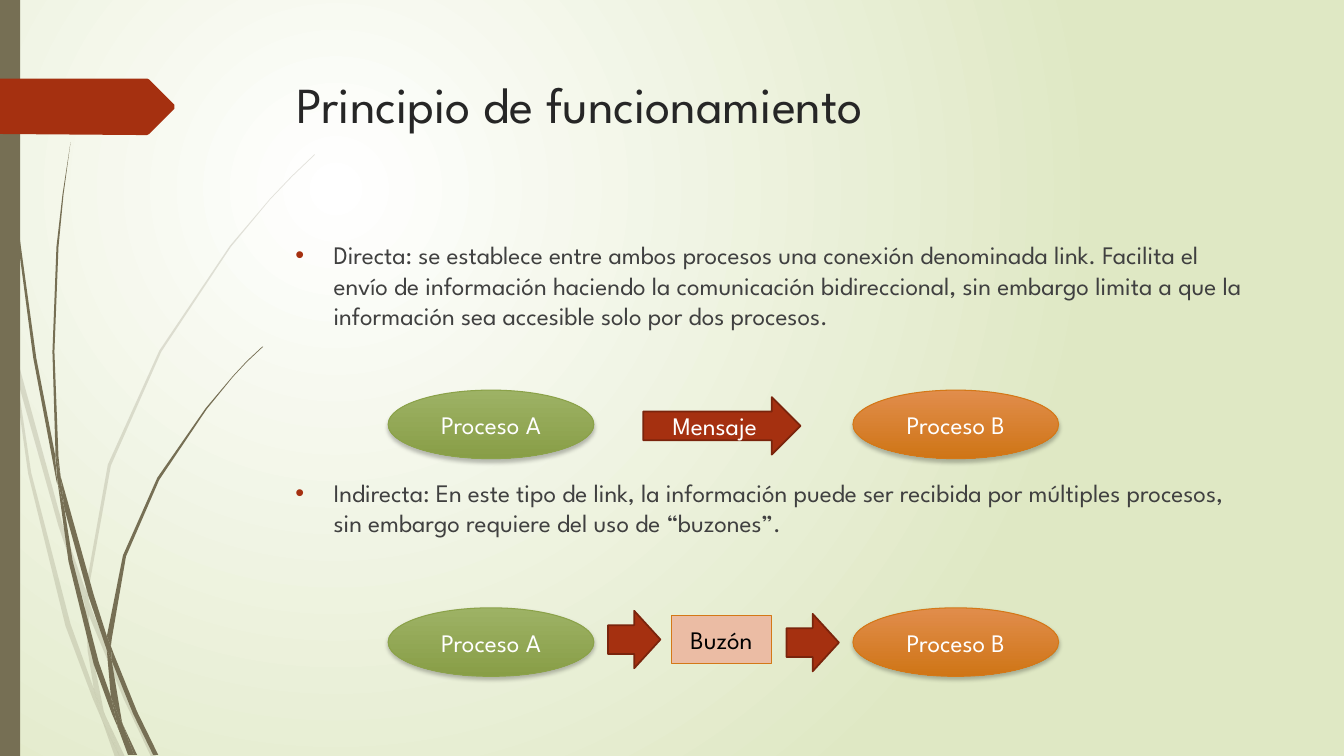
"""Build the slide that compares direct and indirect process communication."""
from dataclasses import dataclass

from lxml.etree import SubElement
from pptx import Presentation
from pptx.dml.color import RGBColor
from pptx.enum.shapes import MSO_SHAPE
from pptx.enum.text import MSO_ANCHOR, MSO_AUTO_SIZE, PP_ALIGN
from pptx.oxml.ns import qn
from pptx.util import Pt

PX = 9144
FONT = "League Spartan"

WHITE = RGBColor(0xFF, 0xFF, 0xFF)
BLACK = RGBColor(0x00, 0x00, 0x00)
PALE_GREEN = RGBColor(0xDF, 0xE8, 0xC4)
OLIVE = RGBColor(0x76, 0x6F, 0x54)
RED = RGBColor(0xA5, 0x30, 0x10)
DARK_RED = RGBColor(0x7A, 0x24, 0x0C)
GREEN_TOP = RGBColor(0x9D, 0xB2, 0x65)
GREEN_BOTTOM = RGBColor(0x88, 0x9E, 0x47)
GREEN_LINE = RGBColor(0x8B, 0xA2, 0x49)
ORANGE_TOP = RGBColor(0xE1, 0x8D, 0x4C)
ORANGE_BOTTOM = RGBColor(0xCF, 0x75, 0x16)
ORANGE_LINE = RGBColor(0xD4, 0x78, 0x17)
PEACH = RGBColor(0xEB, 0xBC, 0xA4)
TITLE_COLOR = RGBColor(0x26, 0x26, 0x26)
BODY_COLOR = RGBColor(0x40, 0x40, 0x40)


@dataclass(frozen=True)
class Style:
    """Look of a diagram node; two fills make a vertical gradient with a shadow."""
    preset: MSO_SHAPE
    fills: tuple[RGBColor, ...]
    line: RGBColor
    line_width: float
    text_color: RGBColor = WHITE


@dataclass(frozen=True)
class Node:
    """A diagram node with its box in px."""
    style: Style
    left: int
    top: int
    width: int
    height: int
    text: str = ""


@dataclass(frozen=True)
class Bullet:
    """A bulleted paragraph and the space above it in points."""
    text: str
    space_before: int


PROCESS_A = Style(MSO_SHAPE.OVAL, (GREEN_TOP, GREEN_BOTTOM), GREEN_LINE, 0.75)
PROCESS_B = Style(MSO_SHAPE.OVAL, (ORANGE_TOP, ORANGE_BOTTOM), ORANGE_LINE, 0.75)
MAILBOX = Style(MSO_SHAPE.RECTANGLE, (PEACH,), ORANGE_LINE, 0.75, BLACK)
ARROW = Style(MSO_SHAPE.RIGHT_ARROW, (RED,), DARK_RED, 1.25)

PROCESS_ROWS = (387, 603)
NODES = [
    *(Node(PROCESS_A, 385, top, 204, 68, "Proceso A") for top in PROCESS_ROWS),
    *(Node(PROCESS_B, 846, top, 204, 68, "Proceso B") for top in PROCESS_ROWS),
    Node(MAILBOX, 666, 611, 99, 47, "Buzón"),
    Node(ARROW, 638, 394, 156, 57, "Mensaje"),
    Node(ARROW, 603, 606, 52, 57),
    Node(ARROW, 780, 609, 52, 57),
]

BULLETS = (
    Bullet("Directa: se establece entre ambos procesos una conexión denominada link. "
           "Facilita el envío de información haciendo la comunicación bidireccional, sin "
           "embargo limita a que la información sea accesible solo por dos procesos.", 10),
    Bullet("Indirecta: En este tipo de link, la información puede ser recibida por "
           "múltiples procesos, sin embargo requiere del uso de “buzones”.", 105),
)

BANNER = "173 108 148 133 146 134 136 134 0 133 0 78 146 78 148 79 173 104"
PALE_STEMS = (
    "11 350 9 322 0 282 0 299 10 344",
    "58 522 84 599 85 586 62 520 14 345 17 376",
    "92 607 88 596 88 610 123 694 150 751 155 751 127 692",
    "119 751 124 751 105 711",
    "93 683 70 619 31 469 17 376 11 350 28 470 65 621 92 693 101 714 99 707",
    "84 599 87 646 93 683 96 692 105 711 103 706 91 646 88 610 88 608",
    "88 584 110 462 160 349 229 245 268 198 290 175 312 154 312 153 289 175 268 197 "
    "228 244 158 348 107 461 85 584 85 586 88 596",
    "101 714 114 751 119 751",
    "88 608 88 610 88 596 85 586 84 599",
    "96 692 93 683 99 707 101 714 119 751 105 711",
)
DARK_STEMS = (
    "7 110 17 233 33 355 56 477 57 481 55 457 55 453 36 355 19 232 8 109 5 48 4 0 3 0 4 48",
    "88 592 106 645 106 633 106 631 93 590 60 472 64 505",
    "113 649 110 641 111 656 132 708 152 749 157 749 136 706",
    "110 691 98 657 72 556 64 505 57 477 68 557 93 659 111 708 117 722 116 717",
    "60 472 58 453 54 349 58 245 63 193 70 141 62 193 56 245 52 349 55 449",
    "133 749 136 749 122 719",
    "57 477 64 505 60 472 55 449 55 453",
    "111 633 125 552 158 476 205 406 231 374 245 359 261 344 260 344 245 358 231 373 "
    "204 405 156 474 122 551 106 631 110 641",
    "117 722 127 749 131 749",
    "106 645 110 691 116 706 122 719 121 716 111 656 109 651",
    "106 645 109 651 111 656 110 641 106 631 106 633",
    "116 706 110 691 116 717 117 722 130 749 133 749 122 719",
)


def paint(shape, color: RGBColor, opacity: int = 100) -> None:
    """Give a shape a plain fill without outline or shadow."""
    shape.shadow.inherit = False
    shape.fill.solid()
    shape.fill.fore_color.rgb = color
    shape.line.fill.background()
    if opacity < 100:
        color_element = shape._element.spPr.find(qn("a:solidFill"))[0]
        SubElement(color_element, qn("a:alpha"), val=str(opacity * 1000))


def draw_outline(shapes, outline: str, color: RGBColor, opacity: int = 100) -> None:
    """Draw a closed outline through the listed x and y values in px."""
    values = [int(word) for word in outline.split()]
    start, *others = zip(values[::2], values[1::2])
    builder = shapes.build_freeform(*start, scale=PX)
    builder.add_line_segments(others, close=True)
    paint(builder.convert_to_shape(), color, opacity)


def write(paragraph, text: str, size: int, color: RGBColor) -> None:
    """Add one formatted run to a paragraph."""
    run = paragraph.add_run()
    run.text = text
    for name, value in {"name": FONT, "size": Pt(size), "bold": False}.items():
        setattr(run.font, name, value)
    run.font.color.rgb = color


def set_gradient(fill, colors: tuple[RGBColor, ...]) -> None:
    """Make a two-colour gradient."""
    fill.gradient()
    for stop, color in zip(fill.gradient_stops, colors):
        stop.color.rgb = color


def draw_node(slide, node: Node) -> None:
    """Draw a diagram node with its centred label."""
    style = node.style
    box = (length * PX for length in (node.left, node.top, node.width, node.height))
    shape = slide.shapes.add_shape(style.preset, *box)
    paint(shape, style.fills[0])
    shape.line.color.rgb = style.line
    shape.line.width = Pt(style.line_width)
    if len(style.fills) > 1:
        set_gradient(shape.fill, style.fills)
        shape.fill.gradient_angle = 270
        effects = shape._element.spPr.find(qn("a:effectLst"))
        shadow = SubElement(effects, qn("a:outerShdw"), blurRad=str(int(Pt(3))),
                            dist=str(int(Pt(2))), dir="5400000", rotWithShape="0")
        shadow_color = SubElement(shadow, qn("a:srgbClr"), val=str(BLACK))
        SubElement(shadow_color, qn("a:alpha"), val="25000")
    if node.text:
        shape.text_frame.vertical_anchor = MSO_ANCHOR.MIDDLE
        paragraph = shape.text_frame.paragraphs[0]
        paragraph.alignment = PP_ALIGN.CENTER
        write(paragraph, node.text, 18, style.text_color)


def draw_background(slide) -> None:
    """Draw the radial background, the grass stems, the side bar and the banner."""
    set_gradient(slide.background.fill, (WHITE, PALE_GREEN))
    gradient = slide.element.find(".//" + qn("a:gradFill"))
    gradient.remove(gradient.find(qn("a:lin")))
    focus = SubElement(gradient, qn("a:path"), {"path": "circle"})
    SubElement(focus, qn("a:fillToRect"), l="50000", t="50000", r="100000", b="100000")
    for stems, opacity in ((PALE_STEMS, 20), (DARK_STEMS, 100)):
        group = slide.shapes.add_group_shape()
        for stem in stems:
            draw_outline(group.shapes, stem, OLIVE, opacity)
    paint(slide.shapes.add_shape(MSO_SHAPE.RECTANGLE, 0, 0, 20 * PX, 750 * PX), OLIVE)
    draw_outline(slide.shapes, BANNER, RED)


def fill_title(slide) -> None:
    """Place and format the title."""
    title = slide.shapes.title
    box = {"left": 284, "top": 68, "width": 975, "height": 140}
    for name, value in box.items():
        setattr(title, name, value * PX)
    frame = title.text_frame
    for name, value in {"vertical_anchor": MSO_ANCHOR.TOP, "word_wrap": True,
                        "auto_size": MSO_AUTO_SIZE.NONE}.items():
        setattr(frame, name, value)
    frame.paragraphs[0].alignment = PP_ALIGN.LEFT
    write(frame.paragraphs[0], "Principio de funcionamiento", 36, TITLE_COLOR)


def draw_bullets(slide) -> None:
    """Draw the text with one bullet for each kind of communication."""
    frame = slide.shapes.add_textbox(283 * PX, 233 * PX, 975 * PX, 413 * PX).text_frame
    frame.word_wrap = True
    for index, bullet in enumerate(BULLETS):
        paragraph = frame.add_paragraph() if index else frame.paragraphs[0]
        paragraph.space_before = Pt(bullet.space_before)
        properties = paragraph._p.get_or_add_pPr()
        for name, value in {"marL": 38 * PX, "indent": -38 * PX}.items():
            properties.set(name, str(value))
        SubElement(SubElement(properties, qn("a:buClr")), qn("a:srgbClr"), val=str(RED))
        SubElement(properties, qn("a:buFont"), typeface="Arial")
        SubElement(properties, qn("a:buChar"), char="•")
        write(paragraph, bullet.text, 18, BODY_COLOR)


def main() -> None:
    """Build and save the presentation."""
    presentation = Presentation()
    presentation.slide_width = 1333 * PX
    presentation.slide_height = 750 * PX
    slide = presentation.slides.add_slide(presentation.slide_layouts[5])
    draw_background(slide)
    fill_title(slide)
    draw_bullets(slide)
    for node in NODES:
        draw_node(slide, node)
    presentation.save("out.pptx")


if __name__ == "__main__":
    main()
